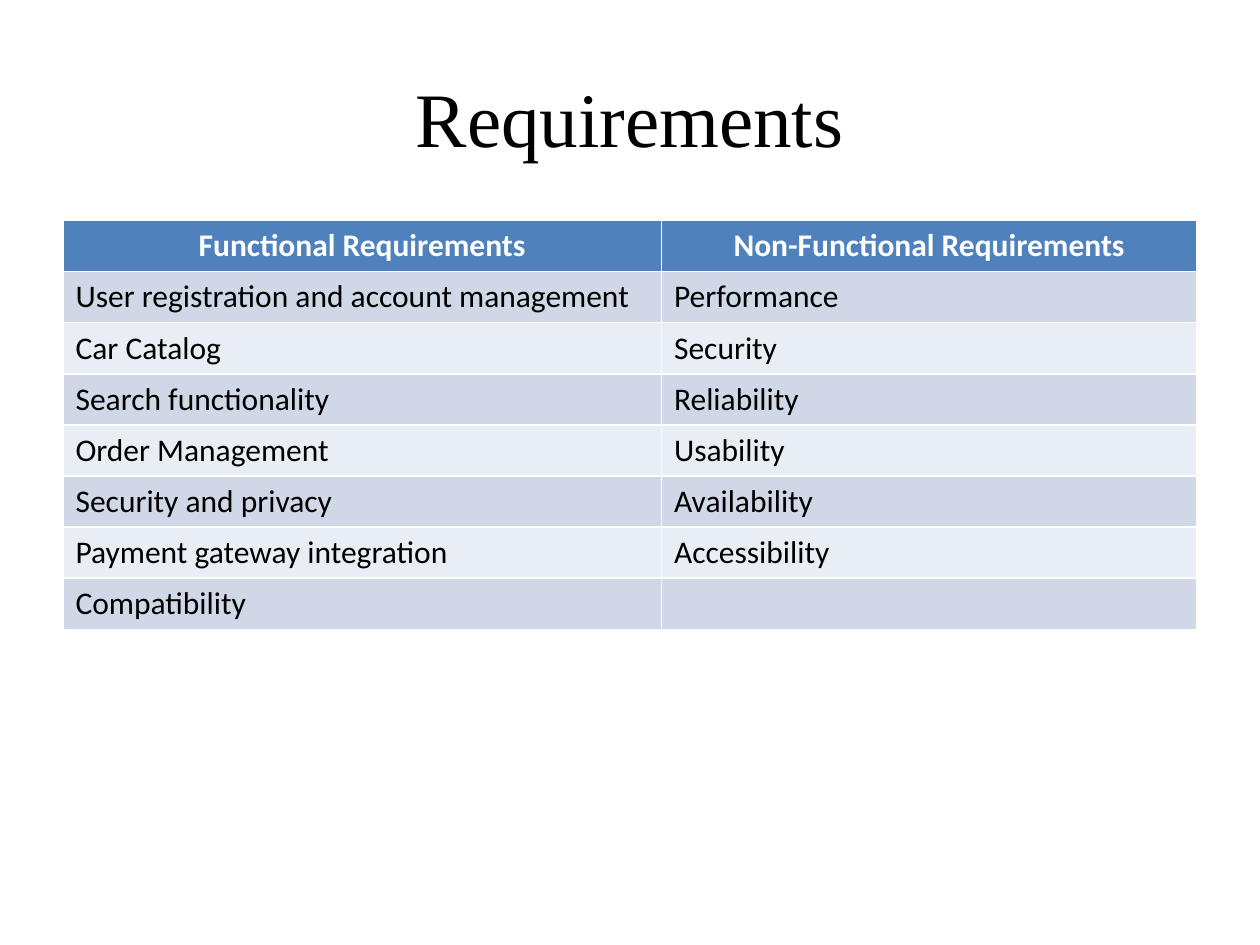
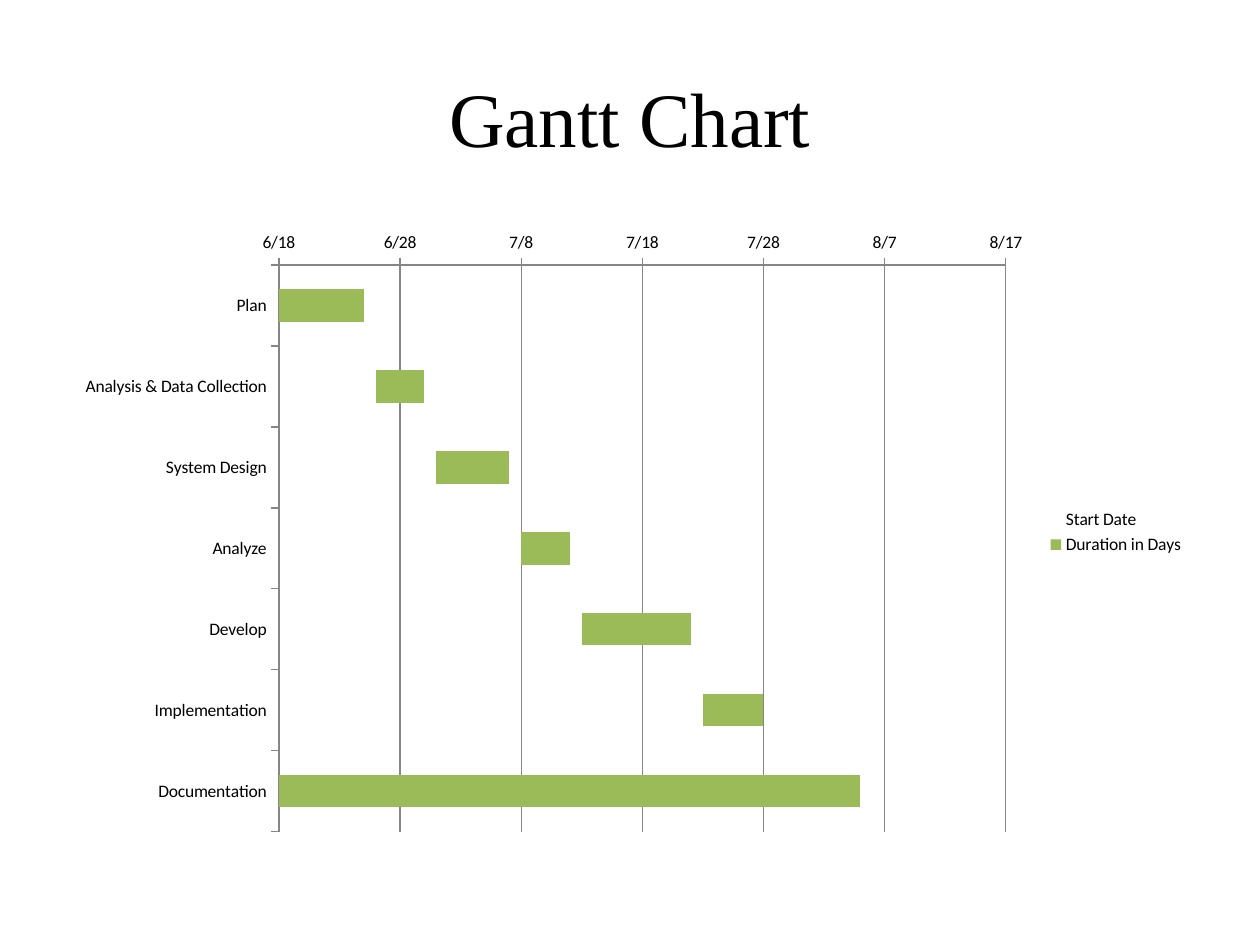
from itertools import zip_longest

from pptx import Presentation
from pptx.chart.data import CategoryChartData
from pptx.dml.color import RGBColor
from pptx.enum.chart import XL_CHART_TYPE, XL_LEGEND_POSITION, XL_TICK_MARK
from pptx.enum.text import MSO_ANCHOR, PP_ALIGN
from pptx.util import Inches, Pt

REQUIREMENTS = {
    "Functional Requirements": [
        "User registration and account management",
        "Car Catalog",
        "Search functionality",
        "Order Management",
        "Security and privacy",
        "Payment gateway integration",
        "Compatibility",
    ],
    "Non-Functional Requirements": [
        "Performance",
        "Security",
        "Reliability",
        "Usability",
        "Availability",
        "Accessibility",
    ],
}

# Serial date of 6/18; tasks give (name, days after it, duration in days)
FIRST_DAY = 45095
DAYS_SHOWN = 60
TASKS = [
    ("Plan", 0, 7),
    ("Analysis & Data Collection", 8, 4),
    ("System Design", 13, 6),
    ("Analyze", 20, 4),
    ("Develop", 25, 9),
    ("Implementation", 35, 5),
    ("Documentation", 0, 48),
]

WIDTH, HEIGHT = 10, 7.5
MARGIN = 0.5
CONTENT_WIDTH = WIDTH - 2 * MARGIN
TITLE_TOP, TITLE_HEIGHT = 0.3, 1.25
CONTENT_TOP = 1.75
COLUMN_WIDTHS = [4.75, 4.25]
TABLE_HEIGHT, CHART_HEIGHT = 3.24, 4.95

BLACK, WHITE, GREY, GREEN = "000000", "FFFFFF", "868686", "9BBB59"
HEADER_FILL = "4F81BD"
BAND_FILLS = ["D0D8E8", "E9EDF4"]
TITLE_FONT = {"name": "Times New Roman", "size": Pt(44), "bold": False}
HEADER_FONT = {"name": "Calibri", "size": Pt(18), "bold": True}
CELL_FONT = {**HEADER_FONT, "bold": False}
CHART_FONT = {"name": "Calibri", "size": Pt(10)}


def color(hex_text):
    return RGBColor.from_string(hex_text)


def format_object(target, values):
    for name, value in values.items():
        setattr(target, name, value)


def format_font(font, values, hex_text):
    format_object(font, values)
    font.color.rgb = color(hex_text)


def fill_solid(target, hex_text):
    target.fill.solid()
    target.fill.fore_color.rgb = color(hex_text)


def style_line(line):
    line.color.rgb = color(GREY)
    line.width = Pt(0.75)


def content_box(height):
    return [Inches(n) for n in (MARGIN, CONTENT_TOP, CONTENT_WIDTH, height)]


def add_page(deck, title_text):
    page = deck.slides.add_slide(deck.slide_layouts.get_by_name("Title Only"))
    title = page.shapes.title
    format_object(title, {
        "left": Inches(MARGIN),
        "top": Inches(TITLE_TOP),
        "width": Inches(CONTENT_WIDTH),
        "height": Inches(TITLE_HEIGHT),
    })
    title.text_frame.vertical_anchor = MSO_ANCHOR.MIDDLE
    para = title.text_frame.paragraphs[0]
    para.alignment = PP_ALIGN.CENTER
    span = para.add_run()
    span.text = title_text
    format_font(span.font, TITLE_FONT, BLACK)
    return page


def add_requirements_table(page):
    rows = [tuple(REQUIREMENTS), *zip_longest(*REQUIREMENTS.values(), fillvalue="")]
    table = page.shapes.add_table(
        len(rows), len(COLUMN_WIDTHS), *content_box(TABLE_HEIGHT)).table
    for column, width in zip(table.columns, COLUMN_WIDTHS):
        column.width = Inches(width)
    for row_index, texts in enumerate(rows):
        is_header = row_index == 0
        fill = HEADER_FILL if is_header else BAND_FILLS[(row_index - 1) % 2]
        for cell, text in zip(table.rows[row_index].cells, texts):
            fill_solid(cell, fill)
            para = cell.text_frame.paragraphs[0]
            para.alignment = PP_ALIGN.CENTER if is_header else PP_ALIGN.LEFT
            if text:
                span = para.add_run()
                span.text = text
                format_font(span.font, HEADER_FONT if is_header else CELL_FONT,
                            WHITE if is_header else BLACK)


def add_gantt_chart(page):
    names, offsets, durations = zip(*TASKS)
    data = CategoryChartData()
    data.categories = names
    data.add_series("Start Date", [FIRST_DAY + days for days in offsets])
    data.add_series("Duration in Days", durations)
    chart = page.shapes.add_chart(
        XL_CHART_TYPE.BAR_STACKED, *content_box(CHART_HEIGHT), data).chart
    format_font(chart.font, CHART_FONT, BLACK)
    format_object(chart, {"has_title": False, "has_legend": True})
    format_object(chart.legend, {"position": XL_LEGEND_POSITION.RIGHT,
                                 "include_in_layout": False})

    plot = chart.plots[0]
    format_object(plot, {"gap_width": 150, "overlap": 100, "vary_by_categories": False})
    start, duration = plot.series
    start.format.fill.background()
    start.format.line.fill.background()
    fill_solid(duration.format, GREEN)

    tasks_axis, dates_axis = chart.category_axis, chart.value_axis
    for axis in (tasks_axis, dates_axis):
        axis.major_tick_mark = XL_TICK_MARK.OUTSIDE
        style_line(axis.format.line)
    tasks_axis.reverse_order = True
    format_object(dates_axis, {
        "minimum_scale": FIRST_DAY,
        "maximum_scale": FIRST_DAY + DAYS_SHOWN,
        "major_unit": 10,
        "has_major_gridlines": True,
    })
    format_object(dates_axis.tick_labels, {"number_format": "m/d;@",
                                           "number_format_is_linked": False})
    style_line(dates_axis.major_gridlines.format.line)


def main():
    deck = Presentation()
    deck.slide_width, deck.slide_height = Inches(WIDTH), Inches(HEIGHT)
    add_requirements_table(add_page(deck, "Requirements"))
    add_gantt_chart(add_page(deck, "Gantt Chart"))
    deck.save("out.pptx")


if __name__ == "__main__":
    main()
